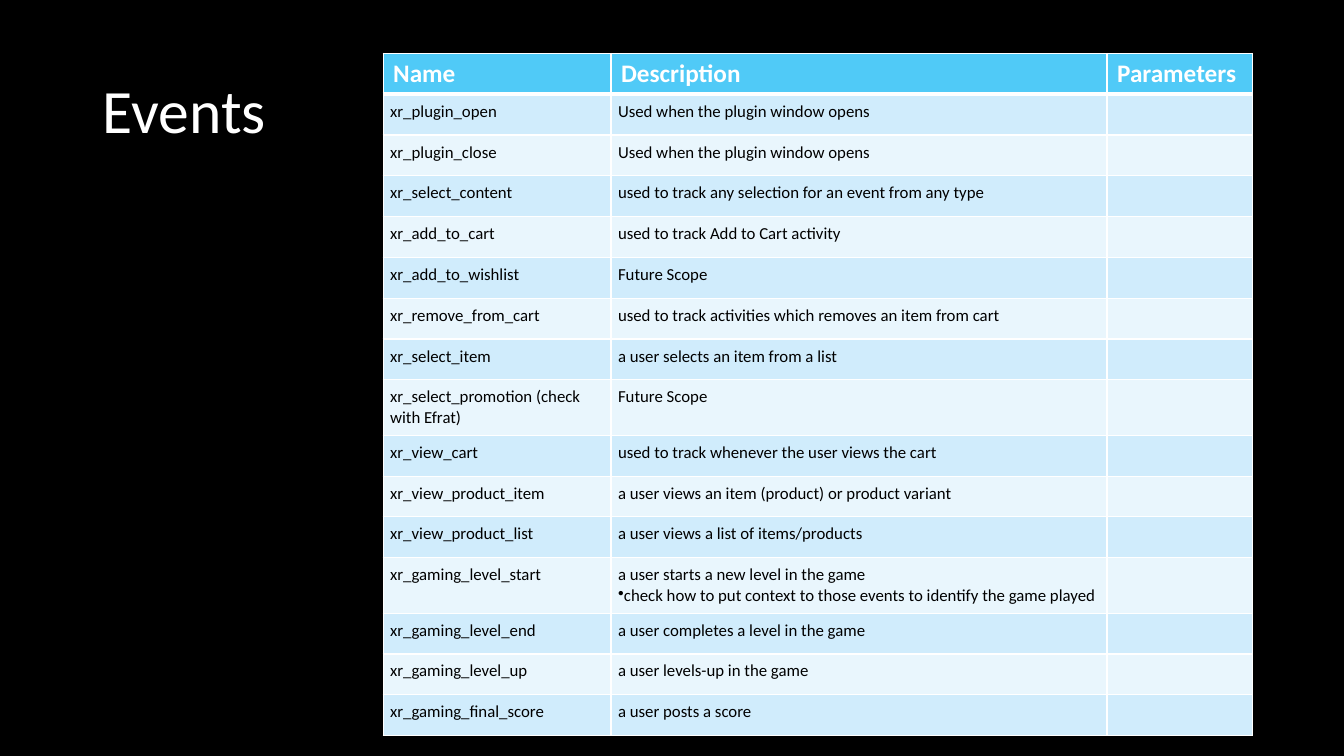
from lxml import etree
from pptx import Presentation
from pptx.dml.color import RGBColor
from pptx.enum.text import MSO_ANCHOR, PP_ALIGN
from pptx.oxml.ns import qn
from pptx.util import Inches, Pt

LEFT = PP_ALIGN.LEFT
MIDDLE = MSO_ANCHOR.MIDDLE
TITLE_ONLY = 5

BLACK = RGBColor(0x00, 0x00, 0x00)
WHITE = RGBColor(0xFF, 0xFF, 0xFF)
HEADER_BLUE = RGBColor(0x50, 0xCA, 0xF7)
BANDS = (RGBColor(0xD0, 0xEC, 0xFC), RGBColor(0xE9, 0xF6, 0xFD))

SLIDE_WIDTH, SLIDE_HEIGHT = 13.33, 7.5
COLUMN_WIDTHS = (2.26, 4.92, 1.44)
LINE_ROW, TWO_LINE_ROW = 0.405, 0.55
BODY_INSET = 0.07
HEADINGS = ("Name", "Description", "Parameters")
# A line break in a description starts a bulleted remark.
EVENTS = (
    ("xr_plugin_open", "Used when the plugin window opens"),
    ("xr_plugin_close", "Used when the plugin window opens"),
    ("xr_select_content", "used to track any selection for an event from any type"),
    ("xr_add_to_cart", "used to track Add to Cart activity"),
    ("xr_add_to_wishlist", "Future Scope"),
    ("xr_remove_from_cart", "used to track activities which removes an item from cart"),
    ("xr_select_item", "a user selects an item from a list"),
    ("xr_select_promotion (check with Efrat)", "Future Scope"),
    ("xr_view_cart", "used to track whenever the user views the cart"),
    ("xr_view_product_item", "a user views an item (product) or product variant"),
    ("xr_view_product_list", "a user views a list of items/products"),
    ("xr_gaming_level_start", "a user starts a new level in the game\n"
     "check how to put context to those events to identify the game played"),
    ("xr_gaming_level_end", "a user completes a level in the game"),
    ("xr_gaming_level_up", "a user levels-up in the game"),
    ("xr_gaming_final_score", "a user posts a score\u00a0"),
)
TWO_LINE_EVENTS = {"xr_select_promotion (check with Efrat)", "xr_gaming_level_start"}


class EventsSlide:
    """Holds the style and the current slide."""

    font_name = "Calibri"

    def __init__(self, presentation):
        """Add a title-only slide with a black background."""
        self.width = presentation.slide_width
        self.height = presentation.slide_height
        self.slide = presentation.slides.add_slide(presentation.slide_layouts[TITLE_ONLY])
        background = self.slide.background.fill
        background.solid()
        background.fore_color.rgb = BLACK

    def box(self, left, top, width, height):
        """Turn shares of the slide's size into lengths."""
        return (round(left * self.width), round(top * self.height),
                round(width * self.width), round(height * self.height))

    def style(self, paragraph, size, color, bold=False):
        """Format a paragraph in the slide's font."""
        paragraph.alignment = LEFT
        font = paragraph.font
        font.name, font.size, font.bold = self.font_name, Pt(size), bold
        font.color.rgb = color

    def title(self, text, *shares):
        """Fill, move and format the title placeholder."""
        title = self.slide.shapes.title
        title.left, title.top, title.width, title.height = self.box(*shares)
        frame = title.text_frame
        frame.text = text
        frame.vertical_anchor = MIDDLE
        frame.paragraphs[0].line_spacing = 0.9
        self.style(frame.paragraphs[0], 44, WHITE)

    def borders(self, cell, top=1, bottom=1):
        """Draw white lines on the four sides of a cell."""
        properties = cell._tc.get_or_add_tcPr()
        for side, points in (("L", 1), ("R", 1), ("T", top), ("B", bottom)):
            line = etree.SubElement(properties, qn(f"a:ln{side}"), w=str(Pt(points)))
            fill = etree.SubElement(line, qn("a:solidFill"))
            etree.SubElement(fill, qn("a:srgbClr"), val=str(WHITE))

    def cell(self, cell, text, fill, size, color, bold=False, **border_widths):
        """Fill a table cell, with a bullet on each paragraph after the first."""
        cell.text = text
        self.borders(cell, **border_widths)
        cell.fill.solid()
        cell.fill.fore_color.rgb = fill
        for index, paragraph in enumerate(cell.text_frame.paragraphs):
            self.style(paragraph, size, color, bold)
            if index:
                bullet = etree.Element(qn("a:buChar"), char="\u2022")
                paragraph._p.get_or_add_pPr().insert(0, bullet)

    def event_table(self, left, top):
        """Add the table of events, one banded row for each."""
        heights = [LINE_ROW] + [TWO_LINE_ROW if name in TWO_LINE_EVENTS else LINE_ROW
                                for name, _ in EVENTS]
        shares = (left, top, sum(COLUMN_WIDTHS) / SLIDE_WIDTH, sum(heights) / SLIDE_HEIGHT)
        table = self.slide.shapes.add_table(
            len(heights), len(HEADINGS), *self.box(*shares)).table
        for column, width in zip(table.columns, COLUMN_WIDTHS):
            column.width = Inches(width)
        for row, height in zip(table.rows, heights):
            row.height = Inches(height)
        for column, heading in enumerate(HEADINGS):
            self.cell(table.cell(0, column), heading, HEADER_BLUE, 18, WHITE,
                      bold=True, bottom=3)
        for row, event in enumerate(EVENTS, start=1):
            for column, text in enumerate((*event, "")):
                cell = table.cell(row, column)
                cell.margin_left = cell.margin_right = Inches(BODY_INSET)
                cell.margin_top = cell.margin_bottom = Inches(BODY_INSET)
                self.cell(cell, text, BANDS[(row - 1) % 2], 12, BLACK,
                          top=3 if row == 1 else 1)


def main():
    """Build and save the slide."""
    presentation = Presentation()
    presentation.slide_width = Inches(SLIDE_WIDTH)
    presentation.slide_height = Inches(SLIDE_HEIGHT)
    events = EventsSlide(presentation)
    events.title("Events", 0.92 / SLIDE_WIDTH, 0.4 / SLIDE_HEIGHT,
                 11.5 / SLIDE_WIDTH, 1.45 / SLIDE_HEIGHT)
    events.event_table(3.8 / SLIDE_WIDTH, 0.53 / SLIDE_HEIGHT)
    presentation.save("out.pptx")


main()
